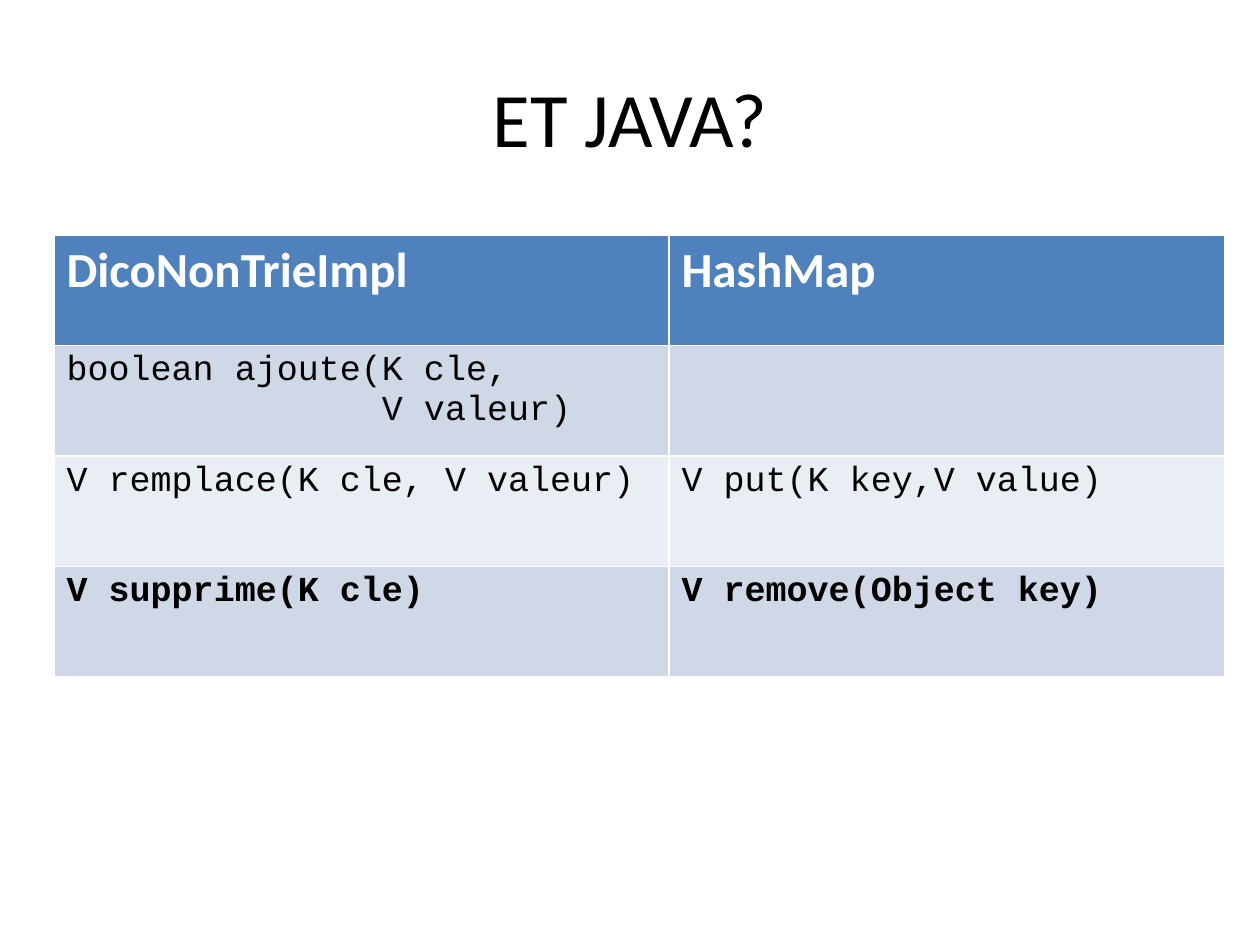
from pptx import Presentation
from pptx.dml.color import RGBColor
from pptx.enum.text import MSO_ANCHOR, PP_ALIGN
from pptx.util import Pt

EMU_PER_PX = 914400 // 126
CENTER = PP_ALIGN.CENTER
MIDDLE = MSO_ANCHOR.MIDDLE

BLACK = RGBColor(0x00, 0x00, 0x00)
WHITE = RGBColor(0xFF, 0xFF, 0xFF)
HEADER_BLUE = RGBColor(0x4F, 0x81, 0xBD)
BAND_DARK = RGBColor(0xD0, 0xD8, 0xE8)
BAND_LIGHT = RGBColor(0xE9, 0xED, 0xF4)

TITLE_BOX = (63, 38, 1134, 157)
TABLE_BOX = (54, 235, 1171, 442)
COLUMN_WIDTHS = (615, 556)

HEADERS = ("DicoNonTrieImpl", "HashMap")
METHODS = (
    ("boolean ajoute(K cle, \n               V valeur)", ""),
    ("V remplace(K cle, V valeur)", "V put(K key,V value)"),
    ("V supprime(K cle)", "V remove(Object key)"),
)


def px(length):
    return length * EMU_PER_PX


def add_text(para, text, font_name, size, color, bold=False):
    for index, line in enumerate(text.split("\n")):
        if index:
            para.add_line_break()
        span = para.add_run()
        span.text = line
        span.font.name = font_name
        span.font.size = Pt(size)
        span.font.color.rgb = color
        span.font.bold = bold


def add_title(page, box):
    frame = page.shapes.add_textbox(*map(px, box)).text_frame
    frame.word_wrap = True
    frame.vertical_anchor = MIDDLE
    para = frame.paragraphs[0]
    para.alignment = CENTER
    add_text(para, "ET JAVA?", "Calibri", 44, BLACK)


def fill_cell(cell, fill, text, *style):
    cell.fill.solid()
    cell.fill.fore_color.rgb = fill
    if text:
        add_text(cell.text_frame.paragraphs[0], text, *style)


def add_method_table(page, box):
    row_count = len(METHODS) + 1
    table = page.shapes.add_table(row_count, len(HEADERS), *map(px, box)).table
    for column, width in zip(table.columns, COLUMN_WIDTHS):
        column.width = px(width)
    for row in table.rows:
        row.height = px(box[3]) // row_count

    # Header row
    for column, text in enumerate(HEADERS):
        fill_cell(table.cell(0, column), HEADER_BLUE, text,
                  "Calibri", 28, WHITE, True)

    # Banded method rows, the last one bold
    for row, texts in enumerate(METHODS, start=1):
        fill = BAND_DARK if row % 2 else BAND_LIGHT
        for column, text in enumerate(texts):
            fill_cell(table.cell(row, column), fill, text,
                      "Courier New", 20, BLACK, row == len(METHODS))


def main():
    deck = Presentation()
    deck.slide_width = px(1260)
    deck.slide_height = px(945)
    page = deck.slides.add_slide(deck.slide_layouts[6])
    add_title(page, TITLE_BOX)
    add_method_table(page, TABLE_BOX)
    deck.save("out.pptx")


if __name__ == "__main__":
    main()
